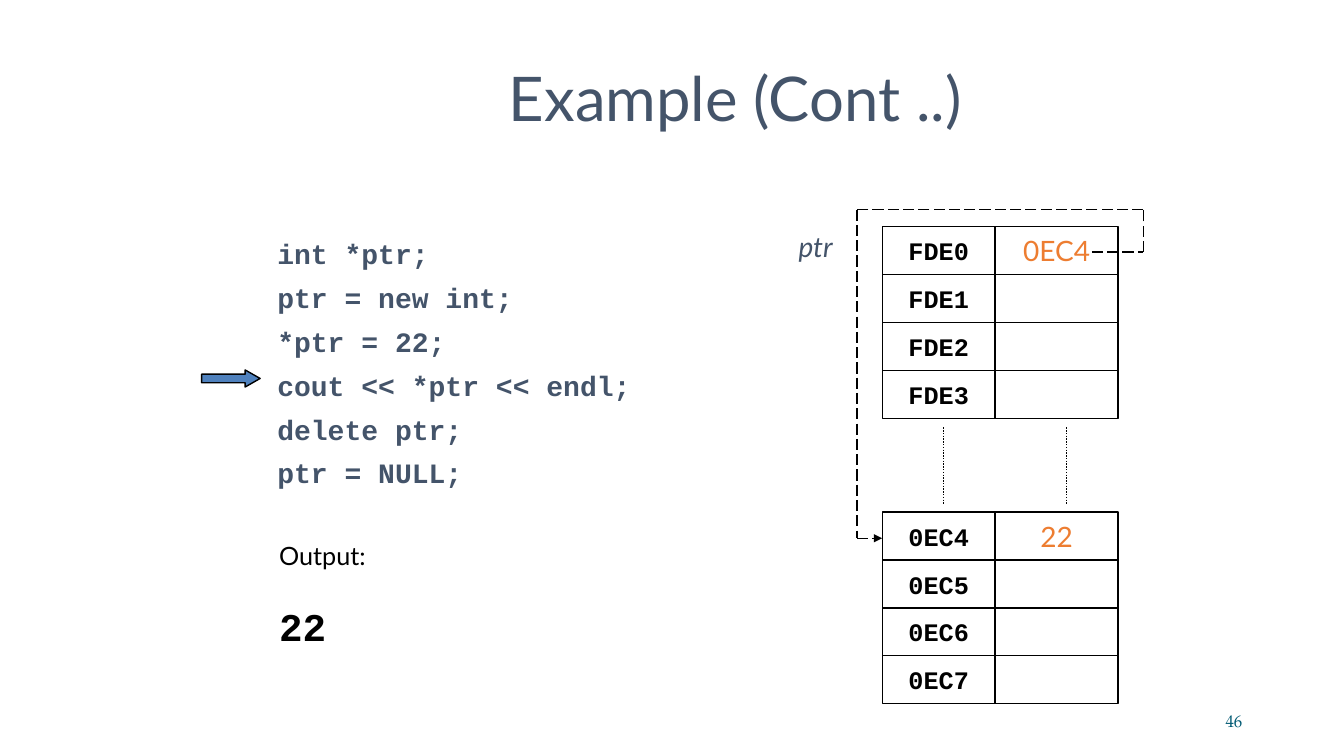
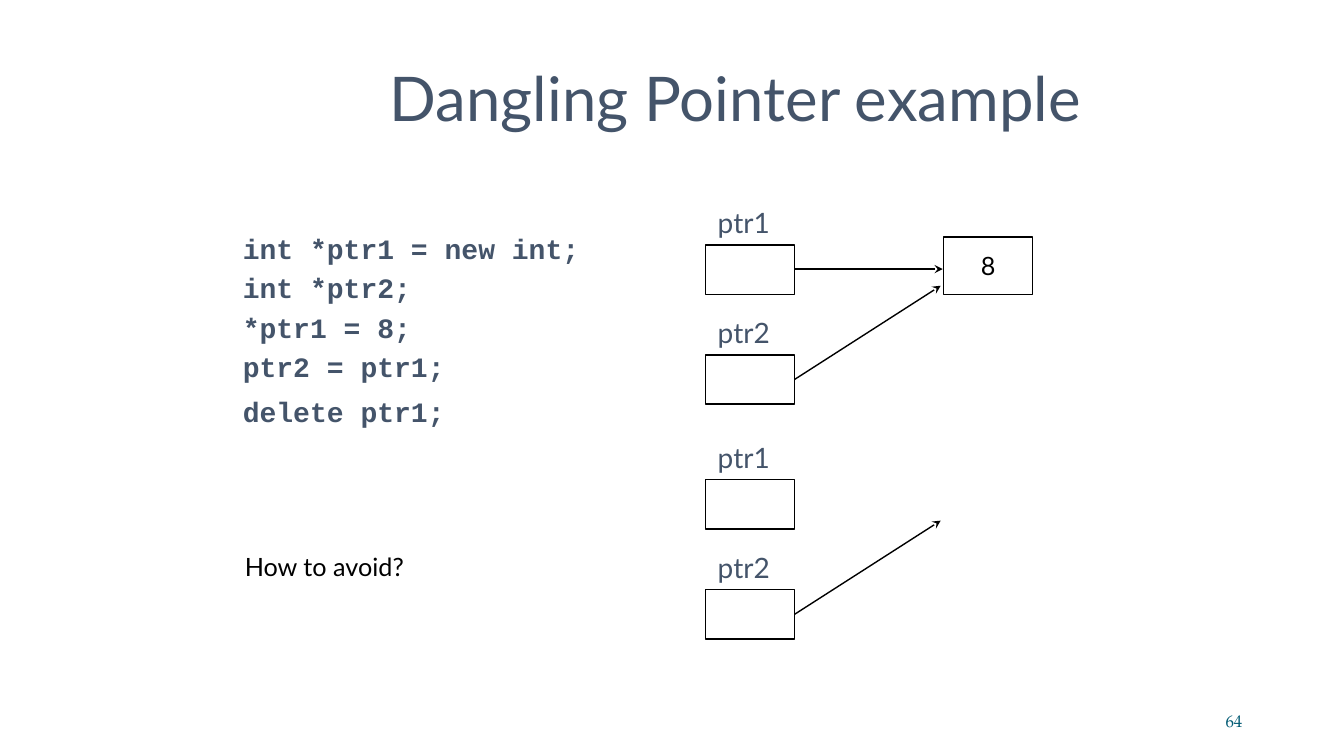
from itertools import pairwise

from lxml import etree
from pptx import Presentation
from pptx import util as u
from pptx.dml.color import RGBColor
from pptx.enum import dml, shapes, text
from pptx.oxml.ns import qn

COLORS = {"slate": "44546A", "black": "000000", "orange": "ED7D31",
          "teal": "045C75", "blue": "4F81BD"}
BODY, CODE, FOOTER = "Lato", "Courier New", "TeX Gyre Pagella"
LINE_WIDTH = 0.99

# Text styles: font, size, colour, bold, italic
TITLE = (BODY, 44, "slate", False, False)
NUMBER = (FOOTER, 12, "teal", False, False)
LISTING = (CODE, 20, "slate", True, False)
LABEL = (BODY, 20, "slate", False, False)
POINTER_NAME = (BODY, 20, "slate", False, True)
ADDRESS = (CODE, 18, "black", True, False)
VALUE = (BODY, 20, "orange", False, False)
NOTE = (BODY, 18, "black", False, False)
RESULT = (CODE, 28, "black", True, False)

ALLOCATION = {
    "title": "Example (Cont ..)", "number": "46",
    "code": ["int *ptr;", "ptr = new int;", "*ptr = 22;",
             "cout << *ptr << endl;", "delete ptr;", "ptr = NULL;"],
    "blocks": [
        (2.25, [("FDE0", "0EC4"), ("FDE1", ""), ("FDE2", ""), ("FDE3", "")]),
        (5.08, [("0EC4", "22"), ("0EC5", ""), ("0EC6", ""), ("0EC7", "")]),
    ],
    "route": [(10.83, 2.5), (11.34, 2.5), (11.34, 2.08), (8.5, 2.08),
              (8.5, 5.34), (8.75, 5.34)],
}
DANGLING = {
    "title": "Dangling Pointer example", "number": "64",
    "code": ["int *ptr1 = new int;", "int *ptr2;", "*ptr1 = 8;", "ptr2 = ptr1;"],
    "delete": "delete ptr1;", "question": "How to avoid?",
    "pointers": ["ptr1", "ptr2"], "target": "8",
}

ADDRESS_LEFT, ADDRESS_WIDTH, VALUE_WIDTH, ROW_HEIGHT = 8.75, 1.12, 1.22, 0.475
POINTER_LEFT, POINTER_WIDTH, POINTER_HEIGHT, POINTER_STEP = 7, 0.88, 0.49, 1.09
GROUP_TOPS = (2.43, 4.76)


def color(name):
    """Return the named colour."""
    return RGBColor.from_string(COLORS[name])


def set_all(target, values):
    """Set attributes of an object from a dict."""
    for name, value in values.items():
        setattr(target, name, value)


def write(shape, lines, style, align="LEFT", anchor="TOP", side=0.1, wrap=True,
          spacing=None):
    """Write one paragraph per line in one style."""
    frame = shape.text_frame
    set_all(frame, {"word_wrap": wrap, "auto_size": text.MSO_AUTO_SIZE.NONE,
                    "vertical_anchor": text.MSO_ANCHOR[anchor],
                    "margin_left": u.Inches(side), "margin_right": u.Inches(side),
                    "margin_top": u.Inches(0.05), "margin_bottom": u.Inches(0.05)})
    frame.text = "\n".join(lines)
    for paragraph in frame.paragraphs:
        paragraph.alignment = text.PP_ALIGN[align]
        if spacing:
            paragraph.line_spacing = u.Pt(spacing)
        format_font(paragraph, style)


def format_font(paragraph, style):
    """Apply a text style to the runs of a paragraph."""
    name, size, tint, bold, italic = style
    for run in paragraph.runs:
        set_all(run.font, {"name": name, "size": u.Pt(size), "bold": bold,
                           "italic": italic})
        run.font.color.rgb = color(tint)


def add_text(slide, box, lines, style, **options):
    """Add a text box at left, top, width, height."""
    shape = slide.shapes.add_textbox(*map(u.Inches, box))
    write(shape, lines, style, **options)
    return shape


def add_box(slide, box, label="", style=NOTE, kind="RECTANGLE", fill=None):
    """Add an outlined shape with an optional centred label."""
    shape = slide.shapes.add_shape(shapes.MSO_SHAPE[kind], *map(u.Inches, box))
    shape.shadow.inherit = False
    if fill:
        shape.fill.solid()
        shape.fill.fore_color.rgb = color(fill)
    else:
        shape.fill.background()
    shape.line.color.rgb = color("black")
    shape.line.width = u.Pt(LINE_WIDTH)
    if label:
        write(shape, [label], style, align="CENTER", anchor="MIDDLE", wrap=False)
    return shape


def add_line(slide, start, end, dash=None, head=None):
    """Add a straight line with an optional dash and arrowhead."""
    line = slide.shapes.add_connector(shapes.MSO_CONNECTOR.STRAIGHT,
                                      *map(u.Inches, (*start, *end)))
    line.line.color.rgb = color("black")
    line.line.width = u.Pt(LINE_WIDTH)
    if dash:
        line.line.dash_style = dml.MSO_LINE[dash]
    properties = line._element.spPr
    if head:
        etree.SubElement(properties.find(qn("a:ln")), qn("a:tailEnd"), type=head)
    etree.SubElement(properties, qn("a:effectLst"))


def add_slide(presentation, content):
    """Add a slide with its title and number."""
    slide = presentation.slides.add_slide(presentation.slide_layouts[5])
    title = slide.shapes.title
    set_all(title, {"left": u.Inches(3.67), "top": u.Inches(0.35),
                    "width": u.Inches(7.25), "height": u.Inches(1.23)})
    write(title, [content["title"]], TITLE, align="CENTER", anchor="MIDDLE")
    add_text(slide, (9.42, 6.95, 3, 0.4), [content["number"]], NUMBER,
             align="RIGHT", anchor="MIDDLE")
    return slide


def build_allocation(presentation, content):
    """Build the slide with code, output and memory cells."""
    slide = add_slide(presentation, content)
    add_text(slide, (2.75, 2.2, 4.25, 2.92), content["code"], LISTING,
             side=0, spacing=31.3)
    arrow = add_box(slide, (2, 3.67, 0.58, 0.17), kind="RIGHT_ARROW", fill="blue")
    arrow.adjustments[1] = 0.875

    value_left = ADDRESS_LEFT + ADDRESS_WIDTH
    for top, rows in content["blocks"]:
        for index, (address, value) in enumerate(rows):
            y = top + index * ROW_HEIGHT
            add_box(slide, (value_left, y, VALUE_WIDTH, ROW_HEIGHT), value, VALUE)
            add_box(slide, (ADDRESS_LEFT, y, ADDRESS_WIDTH, ROW_HEIGHT),
                    address, ADDRESS)
    for x in (9.36, 10.58):
        add_line(slide, (x, 4.24), (x, 5), dash="ROUND_DOT")

    add_text(slide, (7.92, 2.23, 0.75, 0.43), ["ptr"], POINTER_NAME, side=0)
    route = content["route"]
    for start, end in pairwise(route):
        add_line(slide, start, end, dash="LONG_DASH",
                 head="triangle" if end == route[-1] else None)

    output = add_text(slide, (2.67, 5.36, 2.42, 1.17), ["Output:", "22"], NOTE)
    label, result = output.text_frame.paragraphs
    label.line_spacing = u.Pt(17.8)
    set_all(result, {"line_spacing": u.Pt(30), "space_before": u.Pt(26.8)})
    format_font(result, RESULT)


def build_dangling(presentation, content):
    """Build the slide with pointers before and after the delete."""
    slide = add_slide(presentation, content)
    listing = {"wrap": False, "spacing": 28.1}
    add_text(slide, (2.31, 2.19, 3.54, 1.6), content["code"], LISTING, **listing)
    add_text(slide, (2.31, 3.81, 2.2, 0.43), [content["delete"]], LISTING, **listing)
    add_text(slide, (2.33, 5.42, 2.5, 0.4), [content["question"]], NOTE)

    right = POINTER_LEFT + POINTER_WIDTH
    for group_top in GROUP_TOPS:
        for index, name in enumerate(content["pointers"]):
            top = group_top + index * POINTER_STEP
            add_text(slide, (7.02, top - 0.44, 0.78, 0.43), [name], LABEL, wrap=False)
            add_box(slide, (POINTER_LEFT, top, POINTER_WIDTH, POINTER_HEIGHT))
        middle = group_top + POINTER_STEP + POINTER_HEIGHT / 2
        add_line(slide, (right, middle), (9.33, middle - 0.93), head="stealth")
    add_box(slide, (9.36, 2.35, POINTER_WIDTH, 0.57), content["target"], NOTE)
    add_line(slide, (right, 2.67), (9.35, 2.67), head="stealth")


presentation = Presentation()
set_all(presentation, {"slide_width": u.Inches(13.33), "slide_height": u.Inches(7.5)})
build_allocation(presentation, ALLOCATION)
build_dangling(presentation, DANGLING)
presentation.save("out.pptx")
